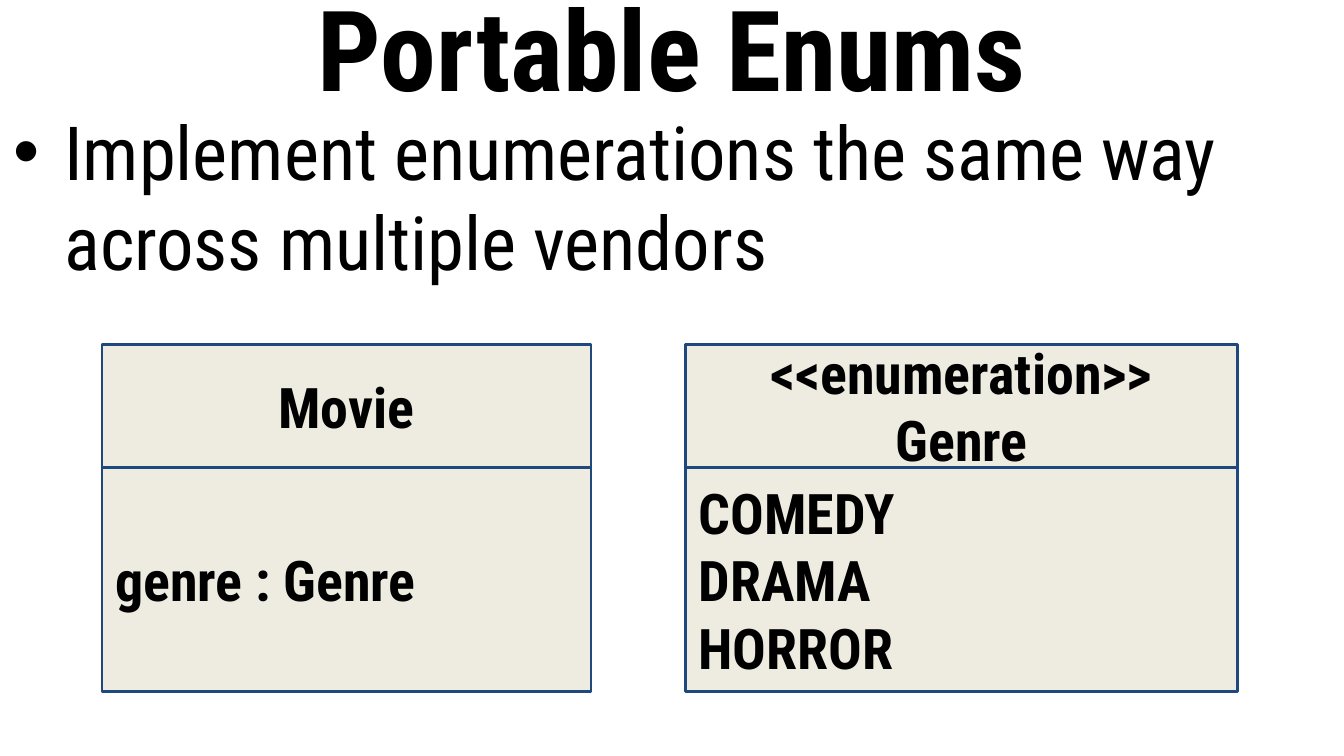
from dataclasses import dataclass

from lxml.etree import SubElement
from pptx import Presentation
from pptx.dml.color import RGBColor as Rgb
from pptx.enum.shapes import MSO_SHAPE as Shape
from pptx.enum.text import MSO_ANCHOR as Anchor, PP_ALIGN as Align
from pptx.oxml.ns import qn
from pptx.util import Pt


@dataclass(frozen=True)
class Theme:
    """Colours, font and type sizes of the deck."""
    font: str = "Roboto Condensed"
    ink: Rgb = Rgb(0, 0, 0)
    panel: Rgb = Rgb(0xEE, 0xEC, 0xE1)
    border: Rgb = Rgb(0x1F, 0x49, 0x7D)
    title: int = 60
    body: int = 40
    label: int = 30


THEME = Theme()
WIDTH, HEIGHT = 720, 405


def write_text(shape, *lines, size, bold=False, align=Align.LEFT, anchor=Anchor.MIDDLE):
    """Fill a shape with one paragraph per line and return the paragraphs."""
    frame = shape.text_frame
    frame.word_wrap = True
    frame.vertical_anchor = anchor
    frame.margin_left = frame.margin_right = Pt(7.2)
    frame.margin_top = frame.margin_bottom = Pt(7.2)
    for index, line in enumerate(lines):
        para = frame.add_paragraph() if index else frame.paragraphs[0]
        para.alignment = align
        span = para.add_run()
        span.text = line
        span.font.name = THEME.font
        span.font.size = Pt(size)
        span.font.bold = bold
        span.font.color.rgb = THEME.ink
    return frame.paragraphs


def add_bullet(para, indent, hanging):
    """Give a paragraph a round bullet and a hanging indent."""
    props = para._p.get_or_add_pPr()
    props.set("marL", str(Pt(indent)))
    props.set("indent", str(-Pt(hanging)))
    colour = SubElement(SubElement(props, qn("a:buClr")), qn("a:srgbClr"))
    colour.set("val", str(THEME.ink))
    SubElement(props, qn("a:buFont")).set("typeface", "Arial")
    SubElement(props, qn("a:buChar")).set("char", "•")


def add_heading(page, left, top, width, title, statement):
    """Place the title with its bulleted statement below."""
    title_height, body_height = 49.7, 116.6
    box = page.shapes.add_textbox(Pt(left), Pt(top), Pt(width), Pt(title_height))
    write_text(box, title, size=THEME.title, bold=True, align=Align.CENTER)
    box = page.shapes.add_textbox(
        Pt(left), Pt(top + title_height), Pt(width), Pt(body_height))
    paras = write_text(box, statement, size=THEME.body, anchor=Anchor.TOP)
    add_bullet(paras[0], indent=27.4, hanging=31)


def add_class_box(page, left, top, width, names, members):
    """Place a UML class: a name compartment above a member compartment."""
    name_height, member_height = 65.9, 120.2
    compartments = (
        (top, name_height, names, Align.CENTER),
        (top + name_height, member_height, members, Align.LEFT),
    )
    for y, height, lines, align in compartments:
        box = page.shapes.add_shape(
            Shape.RECTANGLE, Pt(left), Pt(y), Pt(width), Pt(height))
        box.shadow.inherit = False
        box.fill.solid()
        box.fill.fore_color.rgb = THEME.panel
        box.line.color.rgb = THEME.border
        box.line.width = Pt(1.5)
        write_text(box, *lines, size=THEME.label, bold=True, align=align)


def build_deck():
    """Build the one-slide deck and save it."""
    deck = Presentation()
    deck.slide_width, deck.slide_height = Pt(WIDTH), Pt(HEIGHT)
    page = deck.slides.add_slide(deck.slide_layouts[6])
    add_heading(page, 0, 0, WIDTH, "Portable Enums",
                "Implement enumerations the same way across multiple vendors")
    class_top = 184.5
    add_class_box(page, 54.6, class_top, 262, ["Movie"], ["genre : Genre"])
    add_class_box(page, 367.2, class_top, 296, ["<<enumeration>>", "Genre"],
                  ["COMEDY", "DRAMA", "HORROR"])
    deck.save("out.pptx")


build_deck()
